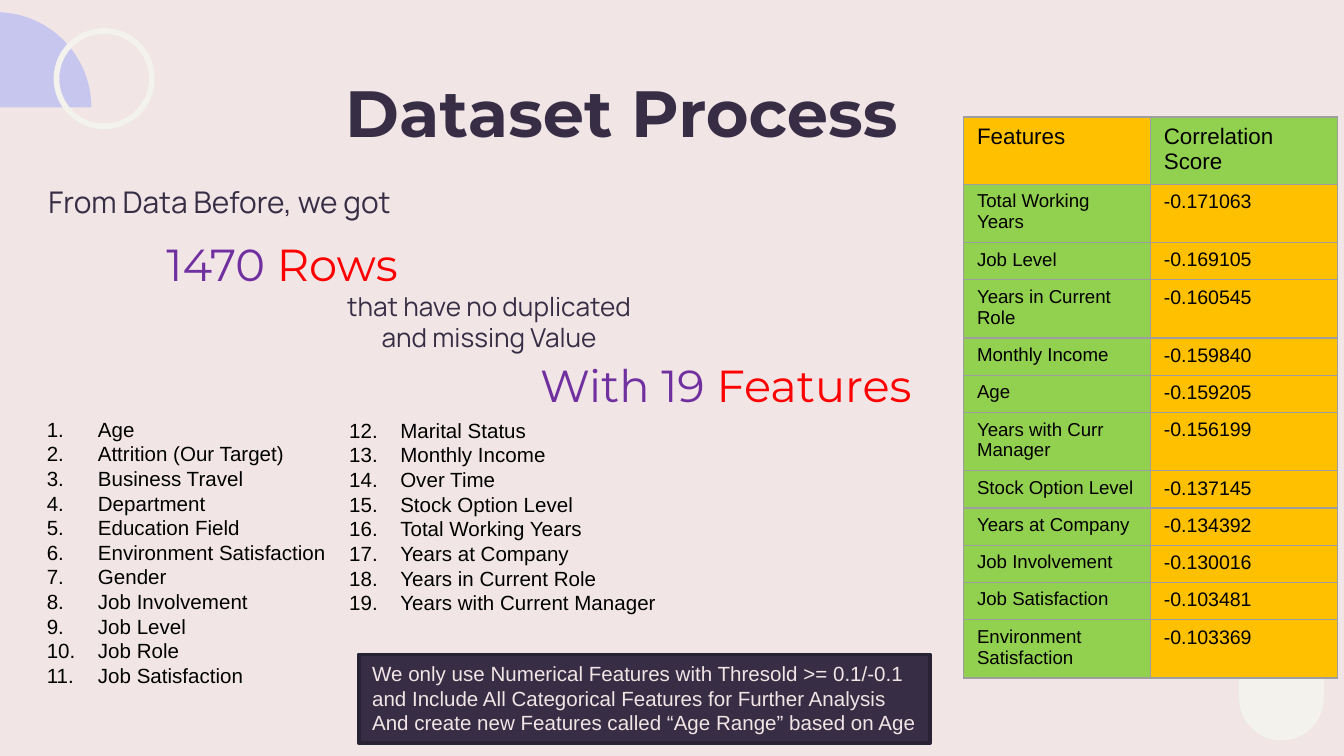
from dataclasses import dataclass
from math import cos, pi, sin

from lxml import etree
from pptx import Presentation
from pptx.dml.color import RGBColor
from pptx.enum.shapes import MSO_SHAPE
from pptx.enum.text import MSO_ANCHOR, MSO_AUTO_SIZE, PP_ALIGN
from pptx.oxml.ns import qn
from pptx.util import Inches, Pt

OVAL, RECT, PILL = MSO_SHAPE.OVAL, MSO_SHAPE.RECTANGLE, MSO_SHAPE.ROUNDED_RECTANGLE
TOP, BOTTOM = MSO_ANCHOR.TOP, MSO_ANCHOR.BOTTOM
LEFT, CENTER = PP_ALIGN.LEFT, PP_ALIGN.CENTER
FIXED = MSO_AUTO_SIZE.NONE


@dataclass(frozen=True)
class Theme:
    page: str = "F2E5E5"
    ink: str = "372E46"
    edge: str = "292234"
    lilac: str = "C7C6EE"
    cream: str = "F3F2ED"
    purple: str = "7030A0"
    red: str = "FF0000"
    black: str = "000000"
    gold: str = "FFC000"
    green: str = "92D050"
    grid: str = "9E9E9E"
    head: str = "Montserrat"
    body: str = "Manrope"
    plain: str = "Arial"
    title: float = 35
    big: float = 24
    lead: float = 16
    sub: float = 14
    cap: float = 12
    list: float = 11
    score: float = 10.5
    label: float = 10


@dataclass(frozen=True)
class Run:
    text: str
    size: float
    font: str
    color: str
    bold: bool = False


@dataclass(frozen=True)
class Box:
    left: float
    top: float
    width: float
    height: float

    def place(self):
        return [Inches(n) for n in (self.left, self.top, self.width, self.height)]


@dataclass(frozen=True)
class Line:
    box: Box
    runs: tuple[Run, ...]
    align: PP_ALIGN = LEFT
    anchor: MSO_ANCHOR = TOP


@dataclass(frozen=True)
class Names:
    box: Box
    start: int
    items: tuple[str, ...]


@dataclass(frozen=True)
class Score:
    name: str
    value: str
    tall: bool = False


T = Theme()

TITLE = Line(Box(1.5, 0.44, 6.25, 0.63),
             (Run("Dataset Process", T.title, T.head, T.ink, True),), CENTER)

LINES = (
    Line(Box(2.33, 2.06, 2.62, 0.66),
         (Run("that have no duplicated and missing Value", T.sub, T.body, T.ink),),
         CENTER),
    Line(Box(-0.25, 1.27, 3.77, 0.49),
         (Run("From Data Before, we got", T.lead, T.body, T.ink),), CENTER),
    Line(Box(3.92, 2.71, 3.75, 0.45),
         (Run("With 19 ", T.big, T.head, T.purple),
          Run("Features", T.big, T.head, T.red)), anchor=BOTTOM),
    Line(Box(1.14, 1.81, 2.45, 0.45),
         (Run("1470", T.big, T.head, T.purple),
          Run(" Rows", T.big, T.head, T.red)), anchor=BOTTOM),
)

LISTS = (
    Names(Box(0.25, 3.05, 3.08, 2.69), 1, (
        "Age", "Attrition (Our Target)", "Business Travel", "Department",
        "Education Field", "Environment Satisfaction", "Gender",
        "Job Involvement", "Job Level", "Job Role", "Job Satisfaction")),
    Names(Box(2.5, 3.06, 3.08, 2.14), 12, (
        "Marital Status", "Monthly Income", "Over Time", "Stock Option Level",
        "Total Working Years", "Years at Company", "Years in Current Role",
        "Years with Current Manager")),
)

SCORES = (
    Score("Total Working Years", "-0.171063", True),
    Score("Job Level", "-0.169105"),
    Score("Years in Current Role", "-0.160545", True),
    Score("Monthly Income", "-0.159840"),
    Score("Age", "-0.159205"),
    Score("Years with Curr Manager", "-0.156199", True),
    Score("Stock Option Level", "-0.137145"),
    Score("Years at Company", "-0.134392"),
    Score("Job Involvement", "-0.130016"),
    Score("Job Satisfaction", "-0.103481"),
    Score("Environment Satisfaction", "-0.103369", True),
)

NOTES = (
    "We only use Numerical Features with Thresold >= 0.1/-0.1 "
    "and Include All Categorical Features for Further Analysis",
    "And create new Features called “Age Range” based on Age",
)


def rgb(color: str) -> RGBColor:
    return RGBColor.from_string(color)


def add_run(para, run: Run) -> None:
    part = para.add_run()
    part.text = run.text
    font = part.font
    font.size, font.name, font.bold = Pt(run.size), run.font, run.bold
    font.color.rgb = rgb(run.color)


def next_para(frame, index: int):
    return frame.add_paragraph() if index else frame.paragraphs[0]


def paint(shape, fill: str = "", edge: str = "", width: float = 0) -> None:
    shape.shadow.inherit = False
    if fill:
        shape.fill.solid()
        shape.fill.fore_color.rgb = rgb(fill)
    else:
        shape.fill.background()
    if edge:
        shape.line.color.rgb = rgb(edge)
        shape.line.width = Pt(width)
    else:
        shape.line.fill.background()


def write_line(shape, line: Line) -> None:
    shape.left, shape.top, shape.width, shape.height = line.box.place()
    frame = shape.text_frame
    frame.word_wrap, frame.auto_size = True, FIXED
    frame.vertical_anchor = line.anchor
    frame.margin_left = frame.margin_right = Inches(0.1)
    frame.margin_top = frame.margin_bottom = Inches(0.1)
    para = frame.paragraphs[0]
    para.alignment = line.align
    for run in line.runs:
        add_run(para, run)


def add_list(slide, names: Names) -> None:
    frame = slide.shapes.add_textbox(*names.box.place()).text_frame
    frame.word_wrap = True
    for i, item in enumerate(names.items):
        para = next_para(frame, i)
        add_run(para, Run(item, T.list, T.plain, T.black))
        props = para._p.get_or_add_pPr()
        props.set("marL", str(Inches(0.38)))
        props.set("indent", str(-Inches(0.38)))
        tint = etree.SubElement(props, qn("a:buClr"))
        etree.SubElement(tint, qn("a:srgbClr"), val=T.black)
        etree.SubElement(props, qn("a:buAutoNum"), type="arabicPeriod",
                         startAt=str(names.start))


def fill_cell(cell, text: str, size: float, fill: str) -> None:
    add_run(cell.text_frame.paragraphs[0], Run(text, size, T.plain, T.black))
    cell.fill.solid()
    cell.fill.fore_color.rgb = rgb(fill)
    props = cell._tc.get_or_add_tcPr()
    for i, side in enumerate(("a:lnL", "a:lnR", "a:lnT", "a:lnB")):
        edge = etree.Element(qn(side), w=str(Pt(0.75)))
        solid = etree.SubElement(edge, qn("a:solidFill"))
        etree.SubElement(solid, qn("a:srgbClr"), val=T.grid)
        props.insert(i, edge)


def add_scores(slide, box: Box, scores: tuple[Score, ...]) -> None:
    table = slide.shapes.add_table(len(scores) + 1, 2, *box.place()).table
    table.first_row = table.horz_banding = False
    head, tall = 0.5, 0.43
    count = sum(score.tall for score in scores)
    short = (box.height - head - tall * count) / (len(scores) - count)
    table.rows[0].height = Inches(head)
    fill_cell(table.cell(0, 0), "Features", T.cap, T.gold)
    fill_cell(table.cell(0, 1), "Correlation Score", T.cap, T.green)
    for i, score in enumerate(scores, 1):
        table.rows[i].height = Inches(tall if score.tall else short)
        fill_cell(table.cell(i, 0), score.name, T.label, T.green)
        fill_cell(table.cell(i, 1), score.value, T.score, T.gold)


def add_dome(slide, x: float, base: float, radius: float) -> None:
    steps = 60
    turns = [pi * i / steps for i in range(steps + 1)]
    points = [(Inches(x - radius * cos(a)), Inches(base - radius * sin(a))) for a in turns]
    pen = slide.shapes.build_freeform(*points[0])
    pen.add_line_segments(points[1:], close=True)
    paint(pen.convert_to_shape(), T.lilac)


def add_note(slide, box: Box) -> None:
    shape = slide.shapes.add_shape(RECT, *box.place())
    paint(shape, T.ink, T.edge, 2)
    frame = shape.text_frame
    frame.word_wrap, frame.vertical_anchor = True, TOP
    for i, text in enumerate(NOTES):
        para = next_para(frame, i)
        para.alignment = LEFT
        add_run(para, Run(text, T.list, T.plain, T.page))


def main() -> None:
    deck = Presentation()
    deck.slide_width, deck.slide_height = Inches(10), Inches(10 * 9 / 16)
    slide = deck.slides.add_slide(deck.slide_layouts[5])
    slide.background.fill.solid()
    slide.background.fill.fore_color.rgb = rgb(T.page)
    pill = slide.shapes.add_shape(PILL, *Box(9.22, 4.1, 0.63, 1.41).place())
    pill.adjustments[0] = 0.5
    paint(pill, T.cream)
    write_line(slide.shapes.title, TITLE)
    for line in LINES:
        write_line(slide.shapes.add_textbox(*line.box.place()), line)
    add_dome(slide, -0.03, 0.8, 0.71)
    ring = slide.shapes.add_shape(OVAL, *Box(0.42, 0.23, 0.71, 0.71).place())
    paint(ring, edge=T.cream, width=3)
    add_list(slide, LISTS[0])
    add_scores(slide, Box(7.17, 0.87, 2.78, 4.16), SCORES)
    add_list(slide, LISTS[1])
    add_note(slide, Box(2.67, 4.87, 4.25, 0.66))
    deck.save("out.pptx")


if __name__ == "__main__":
    main()
